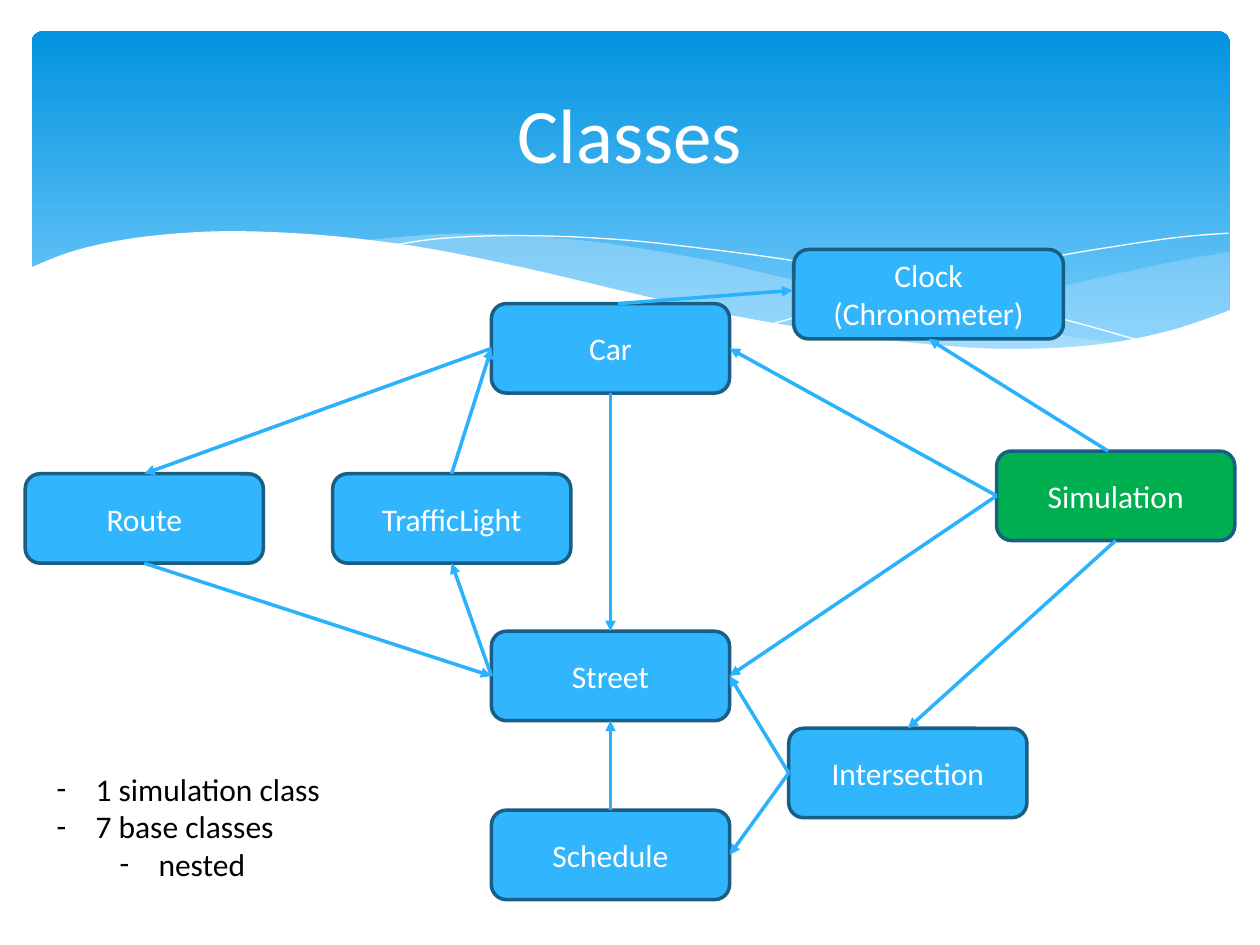
from typing import NamedTuple

from lxml import etree
from pptx import Presentation
from pptx.dml.color import RGBColor
from pptx.enum.shapes import MSO_CONNECTOR, MSO_SHAPE
from pptx.enum.text import MSO_ANCHOR, MSO_AUTO_SIZE, PP_ALIGN
from pptx.oxml.ns import qn
from pptx.util import Inches, Pt

ROUNDED = MSO_SHAPE.ROUNDED_RECTANGLE
STRAIGHT = MSO_CONNECTOR.STRAIGHT
LEFT, CENTER = PP_ALIGN.LEFT, PP_ALIGN.CENTER
MIDDLE, TOP_ANCHOR = MSO_ANCHOR.MIDDLE, MSO_ANCHOR.TOP
TITLE_ONLY = 5
TOP, WEST, BOTTOM, EAST = range(4)  # connection sites of a rounded rectangle

COLORS = {
    "white": "FFFFFF", "black": "000000", "sky": "83D3FE", "deep": "0293E0",
    "mist": "C6E7FC", "class": "31B6FD", "main": "00B050",
    "border": "195E84", "arrow": "2AB2FC",
}
BOX_W, BOX_H = 1.89, 0.71
CURVE_STEPS = 6


class Wave(NamedTuple):
    """Knots of a smooth edge, then of a second edge or corners that close it."""
    edge: list
    back: list = []
    smooth_back: bool = True
    color: str = "white"
    opacity: int = 100


class ClassBox(NamedTuple):
    label: str
    left: float
    top: float
    width: float = BOX_W
    color: str = "class"


class Arrow(NamedTuple):
    source: str
    source_site: int
    target: str
    target_site: int
    source_shift: tuple = (0, 0)
    target_shift: tuple = (0, 0)


WAVES = [
    Wave([(9.76, 2), (9.35, 2.07), (8.61, 2.23), (7.79, 2.42), (7.06, 2.57), (6.61, 2.65)],
         [(6.61, 2.65), (7.05, 2.71), (7.57, 2.76), (8.03, 2.78), (8.44, 2.77),
          (8.89, 2.72), (9.28, 2.63), (9.76, 2.47)], True, "mist", 29),
    Wave([(8.93, 2.73), (8.37, 2.65), (7.41, 2.47), (6.29, 2.22), (5.69, 2.08),
          (5.14, 1.98), (4.65, 1.91), (3.99, 1.86), (3.44, 1.86), (2.86, 1.91)],
         [(2.86, 1.91), (3.42, 1.99), (4.04, 2.11), (4.91, 2.32), (5.66, 2.48),
          (6.5, 2.64), (7.22, 2.74), (7.85, 2.78), (8.38, 2.78), (8.93, 2.73)],
         True, "mist", 40),
    Wave([(3.09, 1.95), (3.53, 1.89), (4.16, 1.87), (4.89, 1.9), (5.56, 1.97),
          (6.36, 2.08), (7.27, 2.26), (8.31, 2.5), (9.07, 2.71)]),
    Wave([(6.13, 2.57), (6.72, 2.41), (7.48, 2.23), (8.36, 2.04), (8.95, 1.94),
          (9.38, 1.88), (9.75, 1.85)]),
    Wave([(9.77, 2.46), (9.3, 2.62), (8.75, 2.73), (8.09, 2.77), (7.44, 2.74),
          (6.68, 2.65), (5.79, 2.5), (5.03, 2.33), (4.18, 2.13), (3.39, 1.97),
          (2.71, 1.88), (2.11, 1.84), (1.61, 1.84), (1.06, 1.89), (0.59, 1.99),
          (0.23, 2.13)], [(0.23, 3.29), (9.77, 3.29)], False),
]
CLASSES = [
    ClassBox("Street", 3.9, 5.01),
    ClassBox("Schedule", 3.9, 6.43),
    ClassBox("Car", 3.9, 2.41),
    ClassBox("TrafficLight", 2.64, 3.76),
    ClassBox("Intersection", 6.26, 5.78),
    ClassBox("Simulation", 7.91, 3.58, color="main"),
    ClassBox("Clock\n(Chronometer)", 6.3, 1.98, 2.14),
    ClassBox("Route", 0.2, 3.76),
]
ARROWS = [
    Arrow("Car", BOTTOM, "Street", TOP),
    Arrow("Schedule", TOP, "Street", BOTTOM),
    Arrow("Intersection", WEST, "Schedule", EAST),
    Arrow("Intersection", WEST, "Street", EAST),
    Arrow("Simulation", BOTTOM, "Intersection", TOP),
    Arrow("Simulation", TOP, "Clock", BOTTOM, source_shift=(-0.06, 0)),
    Arrow("Simulation", WEST, "Street", EAST),
    Arrow("Simulation", WEST, "Car", EAST),
    Arrow("Car", TOP, "Clock", WEST, (0.06, 0), (-0.01, -0.03)),
    Arrow("Street", WEST, "TrafficLight", BOTTOM),
    Arrow("TrafficLight", TOP, "Car", WEST),
    Arrow("Car", WEST, "Route", TOP),
    Arrow("Route", BOTTOM, "Street", WEST),
]
NOTES = [("1 simulation class", 0), ("7 base classes", 0), ("nested", 1)]


def rgb(name: str) -> RGBColor:
    """Look up a named colour."""
    return RGBColor.from_string(COLORS[name])


def write(frame, lines: list, *, size=18, color="white", align=CENTER, anchor=MIDDLE) -> None:
    """Fill a text frame with one paragraph per line."""
    frame.word_wrap = True
    frame.vertical_anchor = anchor
    frame.text = "\n".join(lines)
    for paragraph in frame.paragraphs:
        paragraph.alignment = align
        font = paragraph.runs[0].font
        font.name, font.size, font.color.rgb = "Calibri", Pt(size), rgb(color)


def smooth(knots: list) -> list:
    """Return points of a Catmull-Rom curve through the knots."""
    padded = [knots[0], *knots, knots[-1]]
    points = [knots[0]]
    for a, b, c, d in zip(padded, padded[1:], padded[2:], padded[3:]):
        for step in range(1, CURVE_STEPS + 1):
            t = step / CURVE_STEPS
            points.append(tuple(
                q + 0.5 * t * (r - p + t * (2 * p - 5 * q + 4 * r - s
                                            + t * (3 * (q - r) + s - p)))
                for p, q, r, s in zip(a, b, c, d)))
    return points


def draw_banner(shapes) -> None:
    """Draw the gradient panel behind the title."""
    banner = shapes.add_shape(ROUNDED, Inches(0.25), Inches(0.25), Inches(9.51), Inches(2.7))
    banner.adjustments[0] = 0.034
    banner.shadow.inherit = False
    banner.line.fill.background()
    banner.fill.gradient()
    banner.fill.gradient_angle = 90
    for stop, color, position in zip(banner.fill.gradient_stops, ("sky", "deep"), (0, 1)):
        stop.color.rgb, stop.position = rgb(color), position


def draw_wave(shapes, wave: Wave) -> None:
    """Draw a filled wave, or a thin line when the wave has no closing edge."""
    back = smooth(wave.back) if wave.back and wave.smooth_back else wave.back
    points = [(Inches(x), Inches(y)) for x, y in smooth(wave.edge) + back]
    builder = shapes.build_freeform(*points[0])
    builder.add_line_segments(points[1:], close=bool(back))
    shape = builder.convert_to_shape()
    shape.shadow.inherit = False
    if not back:
        shape.fill.background()
        shape.line.color.rgb, shape.line.width = rgb(wave.color), Pt(0.75)
        return
    shape.line.fill.background()
    shape.fill.solid()
    shape.fill.fore_color.rgb = rgb(wave.color)
    if wave.opacity < 100:
        tint = shape.element.spPr.find(qn("a:solidFill"))[0]
        etree.SubElement(tint, qn("a:alpha"), val=str(wave.opacity * 1000))


def draw_class(shapes, box: ClassBox):
    """Draw a labelled class box and return it."""
    shape = shapes.add_shape(ROUNDED, *map(Inches, (box.left, box.top, box.width, BOX_H)))
    shape.shadow.inherit = False
    shape.fill.solid()
    shape.fill.fore_color.rgb = rgb(box.color)
    shape.line.color.rgb, shape.line.width = rgb("border"), Pt(2)
    write(shape.text_frame, box.label.split("\n"))
    return shape


def draw_arrow(shapes, boxes: dict, arrow: Arrow) -> None:
    """Connect two class boxes, leaving a shifted end unglued."""
    line = shapes.add_connector(STRAIGHT, 0, 0, 0, 0)
    line.begin_connect(boxes[arrow.source], arrow.source_site)
    line.end_connect(boxes[arrow.target], arrow.target_site)
    if any(arrow.source_shift):
        line.begin_x += Inches(arrow.source_shift[0])
        line.begin_y += Inches(arrow.source_shift[1])
    if any(arrow.target_shift):
        line.end_x += Inches(arrow.target_shift[0])
        line.end_y += Inches(arrow.target_shift[1])
    for tag, shift in (("a:stCxn", arrow.source_shift), ("a:endCxn", arrow.target_shift)):
        if any(shift):
            glue = next(line.element.iter(qn(tag)))
            glue.getparent().remove(glue)
    line.line.color.rgb, line.line.width = rgb("arrow"), Pt(2)
    etree.SubElement(line.line._get_or_add_ln(), qn("a:tailEnd"), type="triangle")
    etree.SubElement(line.element.spPr, qn("a:effectLst"))


def draw_notes(shapes) -> None:
    """Write the dashed list at the lower left."""
    notes = shapes.add_textbox(Inches(0.35), Inches(6.06), Inches(2.99), Inches(1.3))
    write(notes.text_frame, [text for text, _ in NOTES], color="black",
          align=LEFT, anchor=TOP_ANCHOR)
    for paragraph, (_, level) in zip(notes.text_frame.paragraphs, NOTES):
        paragraph.level = level
        properties = paragraph._p.get_or_add_pPr()
        properties.set("marL", str(Inches(0.31 + 0.5 * level)))
        properties.set("indent", str(-Inches(0.31)))
        etree.SubElement(properties, qn("a:buFont"), typeface="Calibri")
        etree.SubElement(properties, qn("a:buChar"), char="-")


def main() -> None:
    """Build the class diagram slide."""
    deck = Presentation()
    deck.slide_width, deck.slide_height = Inches(10), Inches(7.5)
    slide = deck.slides.add_slide(deck.slide_layouts[TITLE_ONLY])
    shapes, title = slide.shapes, slide.shapes.title
    draw_banner(shapes)
    for wave in WAVES:
        draw_wave(shapes, wave)
    title.element.getparent().append(title.element)
    title.left, title.top, title.width, title.height = map(Inches, (0.5, 0.37, 9, 1.37))
    write(title.text_frame, ["Classes"], size=44)
    title.text_frame.auto_size = MSO_AUTO_SIZE.NONE
    boxes = {box.label.split("\n")[0]: draw_class(shapes, box) for box in CLASSES}
    for arrow in ARROWS:
        draw_arrow(shapes, boxes, arrow)
    draw_notes(shapes)
    deck.save("out.pptx")


main()
